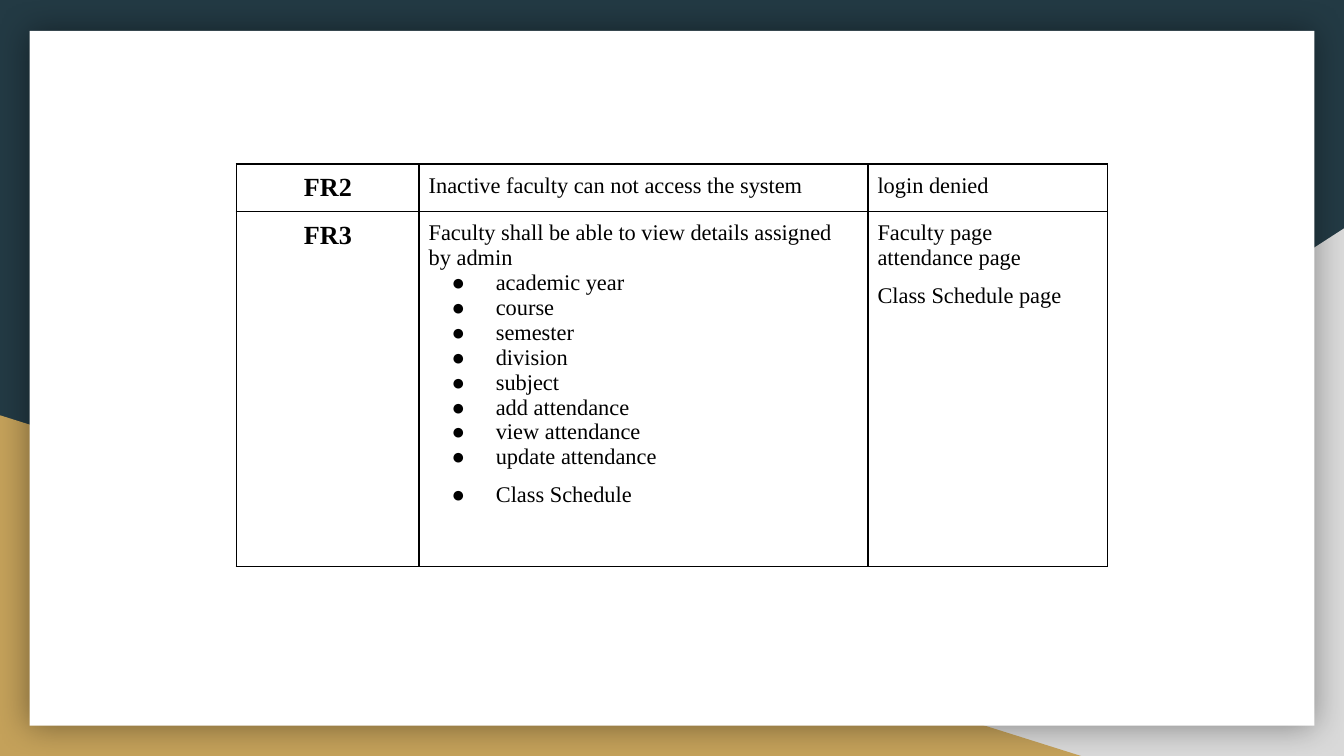
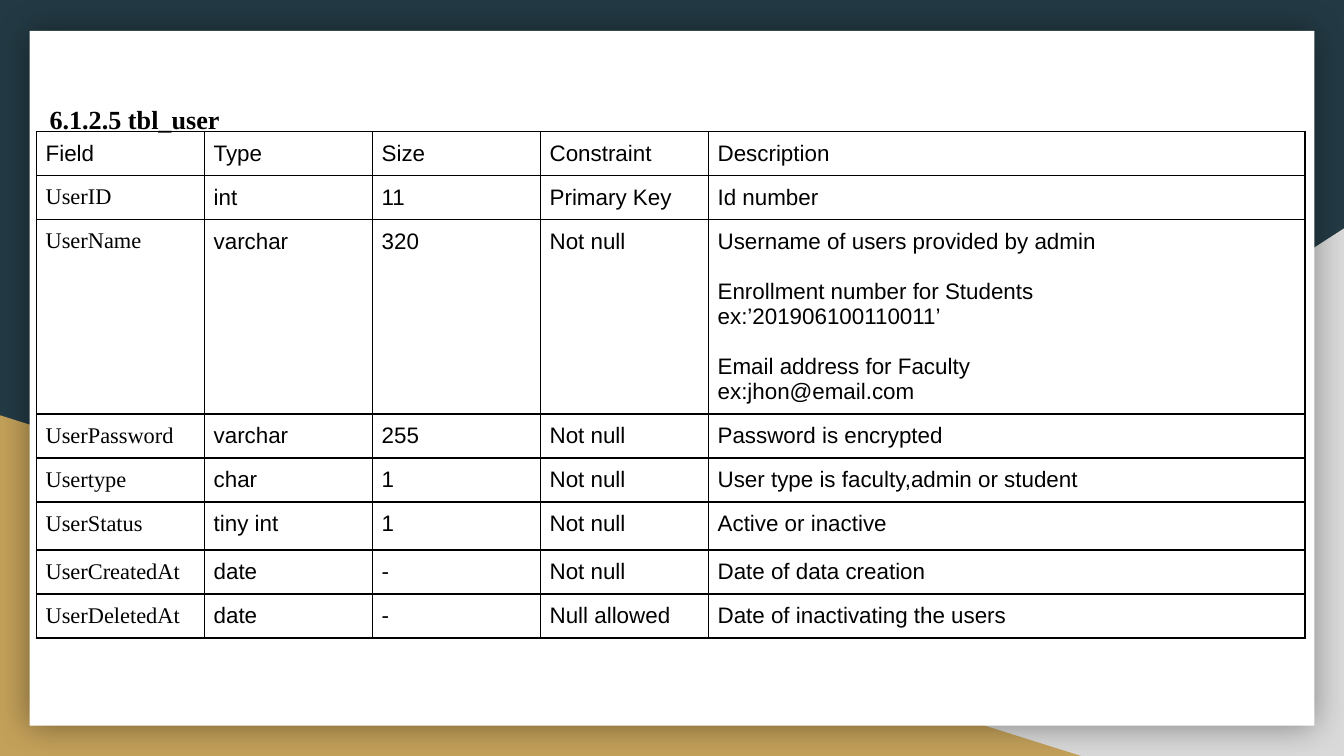
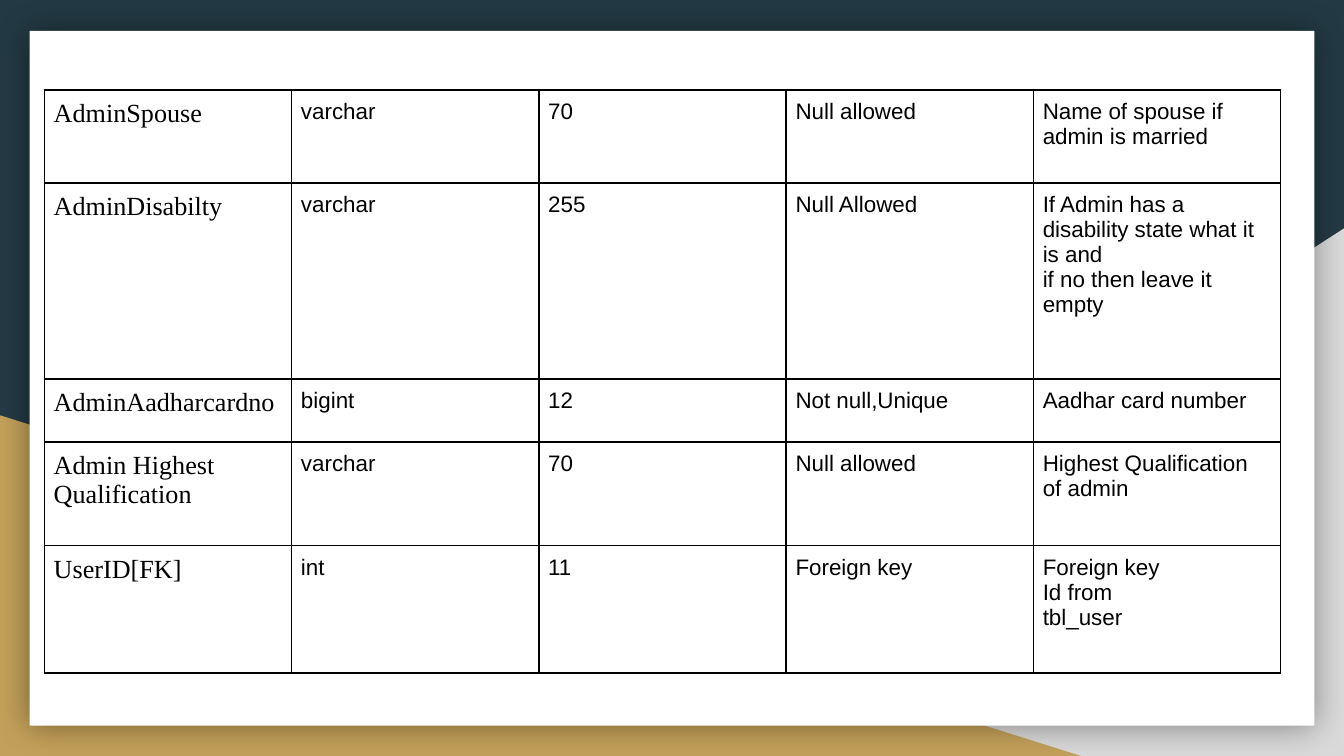
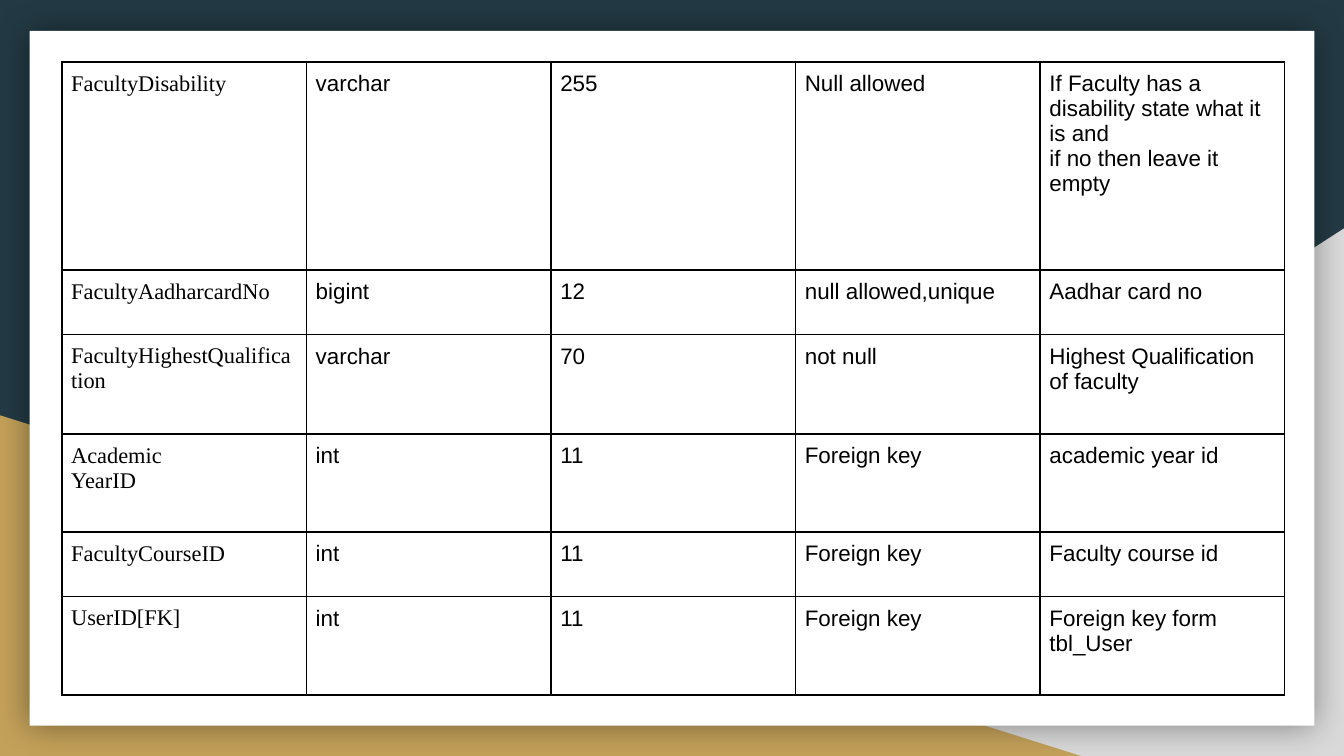
from dataclasses import dataclass

import pptx
import pptx.dml.color
import pptx.enum.shapes
import pptx.enum.text
import pptx.oxml
import pptx.oxml.ns
import pptx.presentation
import pptx.slide
import pptx.table
import pptx.text.text
import pptx.util

Inches = pptx.util.Inches
Pt = pptx.util.Pt
Shapes = pptx.enum.shapes.MSO_SHAPE
qn = pptx.oxml.ns.qn

COLOURS = {
    "backdrop": "233A44",
    "silver": "D9D9D9",
    "gold": "C4A15A",
    "card": "FFFFFF",
    "ink": "000000",
}
SERIF = "Times New Roman"
SANS = "Arial"
BORDER_WIDTH = Pt(1)
CELL_MARGIN = Inches(0.07)
BLANK_LINE = Pt(13.5)
NAMESPACE = 'xmlns:a="http://schemas.openxmlformats.org/drawingml/2006/main"'


@dataclass(frozen=True)
class Panel:
    shape: Shapes
    left: float
    top: float
    width: float
    height: float
    colour: str
    flipped: bool = False
    shadowed: bool = False


@dataclass(frozen=True)
class Line:
    text: str
    bullet: bool = False
    spacing: float | None = None
    before: int | None = None


@dataclass(frozen=True)
class ColumnStyle:
    font: str
    size: float = 12
    bold: bool = False
    centred: bool = False


Cell = str | tuple[Line, ...]


@dataclass(frozen=True)
class Grid:
    left: float
    top: float
    widths: list[float]
    heights: list[float]
    key_style: ColumnStyle
    body_style: ColumnStyle
    rows: list[tuple[Cell, ...]]
    header: bool = False
    heading: str = ""


PANELS = [
    Panel(Shapes.RIGHT_TRIANGLE, 3.92, 1.7, 6.08, 3.93, "silver", flipped=True),
    Panel(Shapes.RIGHT_TRIANGLE, 0, 3.09, 8.06, 2.54, "gold"),
    Panel(Shapes.RECTANGLE, 0.22, 0.23, 9.56, 5.17, "card", shadowed=True),
]

FACULTY_DETAILS = [
    "academic year", "course", "semester", "division", "subject",
    "add attendance", "view attendance", "update attendance",
]

REQUIREMENTS = Grid(
    1.76, 1.22, [1.36, 3.34, 1.78], [0.35, 2.64],
    ColumnStyle(SERIF, 14, bold=True, centred=True), ColumnStyle(SERIF),
    [
        ("FR2", "Inactive faculty can not access the system", "login denied"),
        (
            "FR3",
            (
                Line("Faculty shall be able to view details assigned by admin"),
                *(Line(detail, bullet=True) for detail in FACULTY_DETAILS),
                Line("Class Schedule", bullet=True, spacing=1.5),
            ),
            (
                Line("Faculty page"),
                Line("attendance page"),
                Line("Class Schedule page", spacing=1.5),
            ),
        ),
    ],
)

USER_FIELDS = Grid(
    0.27, 0.98, [1.25] * 4 + [4.44],
    [0.32, 0.32, 1.44, 0.32, 0.32, 0.36, 0.32, 0.32],
    ColumnStyle(SERIF), ColumnStyle(SANS),
    [
        ("Field", "Type", "Size", "Constraint", "Description"),
        ("UserID", "int", "11", "Primary Key", "Id number"),
        (
            "UserName", "varchar", "320", "Not null",
            (
                Line("Username of users provided by admin"),
                Line("Enrollment number for Students", before=BLANK_LINE),
                Line("ex:’201906100110011’"),
                Line("Email address for Faculty", before=BLANK_LINE),
                Line("ex:jhon@email.com"),
            ),
        ),
        ("UserPassword", "varchar", "255", "Not null", "Password is encrypted"),
        ("Usertype", "char", "1", "Not null", "User type is faculty,admin or student"),
        ("UserStatus", "tiny int", "1", "Not null", "Active or inactive"),
        ("UserCreatedAt", "date", "-", "Not null", "Date of data creation"),
        ("UserDeletedAt", "date", "-", "Null allowed", "Date of inactivating the users"),
    ],
    header=True,
    heading="6.1.2.5 tbl_user",
)

ADMIN_FIELDS = Grid(
    0.33, 0.67, [1.84] * 5, [0.69, 1.46, 0.47, 0.77, 0.95],
    ColumnStyle(SERIF, 14), ColumnStyle(SANS),
    [
        ("AdminSpouse", "varchar", "70", "Null allowed", "Name of spouse if admin is married"),
        (
            "AdminDisabilty", "varchar", "255", "Null Allowed",
            "If Admin has a disability state what it is and\nif no then leave it empty",
        ),
        ("AdminAadharcardno", "bigint", "12", "Not null,Unique", "Aadhar card number"),
        (
            "Admin Highest Qualification", "varchar", "70", "Null allowed",
            "Highest Qualification of admin",
        ),
        ("UserID[FK]", "int", "11", "Foreign key", "Foreign key\nId from\ntbl_user"),
    ],
)

FACULTY_FIELDS = Grid(
    0.46, 0.46, [1.82] * 5, [1.55, 0.48, 0.74, 0.73, 0.48, 0.73],
    ColumnStyle(SERIF), ColumnStyle(SANS),
    [
        (
            "FacultyDisability", "varchar", "255", "Null allowed",
            "If Faculty has a disability state what it is and\nif no then leave it empty",
        ),
        ("FacultyAadharcardNo", "bigint", "12", "null allowed,unique", "Aadhar card no"),
        (
            "FacultyHighestQualification", "varchar", "70", "not null",
            "Highest Qualification of faculty",
        ),
        ("Academic\nYearID", "int", "11", "Foreign key", "academic year id"),
        ("FacultyCourseID", "int", "11", "Foreign key", "Faculty course id"),
        ("UserID[FK]", "int", "11", "Foreign key", "Foreign key form tbl_User"),
    ],
)


def colour(name: str) -> pptx.dml.color.RGBColor:
    return pptx.dml.color.RGBColor.from_string(COLOURS[name])


def draw_panel(page: pptx.slide.Slide, panel: Panel) -> None:
    shape = page.shapes.add_shape(
        panel.shape, Inches(panel.left), Inches(panel.top),
        Inches(panel.width), Inches(panel.height),
    )
    shape.fill.solid()
    shape.fill.fore_color.rgb = colour(panel.colour)
    shape.line.fill.background()
    shape.shadow.inherit = False
    properties = shape.element.spPr
    if panel.flipped:
        properties.find(qn("a:xfrm")).set("flipH", "1")
    if panel.shadowed:
        properties.find(qn("a:effectLst")).append(pptx.oxml.parse_xml(
            f'<a:outerShdw {NAMESPACE} blurRad="{Pt(18)}" dist="0" dir="0" '
            f'algn="ctr" rotWithShape="0"><a:srgbClr val="{COLOURS["ink"]}">'
            '<a:alpha val="40000"/></a:srgbClr></a:outerShdw>'
        ))


def add_page(deck: pptx.presentation.Presentation) -> pptx.slide.Slide:
    page = deck.slides.add_slide(deck.slide_layouts[6])
    page.background.fill.solid()
    page.background.fill.fore_color.rgb = colour("backdrop")
    for panel in PANELS:
        draw_panel(page, panel)
    return page


def style_runs(para: pptx.text.text._Paragraph, style: ColumnStyle) -> None:
    for span in para.runs:
        span.font.name = style.font
        span.font.size = Pt(style.size)
        span.font.bold = style.bold
        span.font.color.rgb = colour("ink")


def add_bullet(para: pptx.text.text._Paragraph) -> None:
    properties = para._p.get_or_add_pPr()
    properties.set("marL", str(Inches(0.5)))
    properties.set("indent", str(Inches(-0.33)))
    for markup in (
        f'<a:buClr {NAMESPACE}><a:srgbClr val="{COLOURS["ink"]}"/></a:buClr>',
        f'<a:buFont {NAMESPACE} typeface="{SERIF}"/>',
        f'<a:buChar {NAMESPACE} char="●"/>',
    ):
        properties.append(pptx.oxml.parse_xml(markup))


def add_borders(cell: pptx.table._Cell) -> None:
    properties = cell._tc.get_or_add_tcPr()
    for side in "LRTB":
        properties.append(pptx.oxml.parse_xml(
            f'<a:ln{side} {NAMESPACE} w="{BORDER_WIDTH}"><a:solidFill>'
            f'<a:srgbClr val="{COLOURS["ink"]}"/></a:solidFill></a:ln{side}>'
        ))


def fill_cell(cell: pptx.table._Cell, content: Cell, style: ColumnStyle) -> None:
    if isinstance(content, str):
        content = tuple(Line(text) for text in content.split("\n"))
    cell.margin_left = cell.margin_right = CELL_MARGIN
    cell.margin_top = cell.margin_bottom = CELL_MARGIN
    add_borders(cell)
    cell.fill.background()
    cell.text_frame.text = "\n".join(line.text for line in content)
    for para, line in zip(cell.text_frame.paragraphs, content):
        if line.bullet:
            add_bullet(para)
        if line.spacing is not None:
            para.line_spacing = line.spacing
        if line.before is not None:
            para.space_before = line.before
        if style.centred:
            para.alignment = pptx.enum.text.PP_ALIGN.CENTER
        style_runs(para, style)


def draw_grid(page: pptx.slide.Slide, grid: Grid) -> None:
    table = page.shapes.add_table(
        len(grid.heights), len(grid.widths), Inches(grid.left), Inches(grid.top),
        Inches(sum(grid.widths)), Inches(sum(grid.heights)),
    ).table
    table.first_row = False
    table.horz_banding = False
    for column, width in zip(table.columns, grid.widths):
        column.width = Inches(width)
    for row_index, (height, contents) in enumerate(zip(grid.heights, grid.rows)):
        table.rows[row_index].height = Inches(height)
        for column_index, content in enumerate(contents):
            is_key = column_index == 0 and not (grid.header and row_index == 0)
            style = grid.key_style if is_key else grid.body_style
            fill_cell(table.cell(row_index, column_index), content, style)


def draw_heading(page: pptx.slide.Slide, text: str) -> None:
    box = page.shapes.add_textbox(Inches(0.27), Inches(0.22), Inches(3.28), Inches(1.29))
    frame = box.text_frame
    frame.word_wrap = True
    frame.vertical_anchor = pptx.enum.text.MSO_ANCHOR.MIDDLE
    frame.margin_left = frame.margin_right = Inches(0.1)
    frame.margin_top = frame.margin_bottom = Inches(0.1)
    frame.text = text
    para = frame.paragraphs[0]
    para.line_spacing = 1.15
    style_runs(para, ColumnStyle(SERIF, 14, bold=True))


def main() -> None:
    deck = pptx.Presentation()
    deck.slide_width = Inches(10)
    deck.slide_height = Inches(10 * 9 / 16)
    for grid in (REQUIREMENTS, USER_FIELDS, ADMIN_FIELDS, FACULTY_FIELDS):
        page = add_page(deck)
        draw_grid(page, grid)
        if grid.heading:
            draw_heading(page, grid.heading)
    deck.save("out.pptx")


if __name__ == "__main__":
    main()
